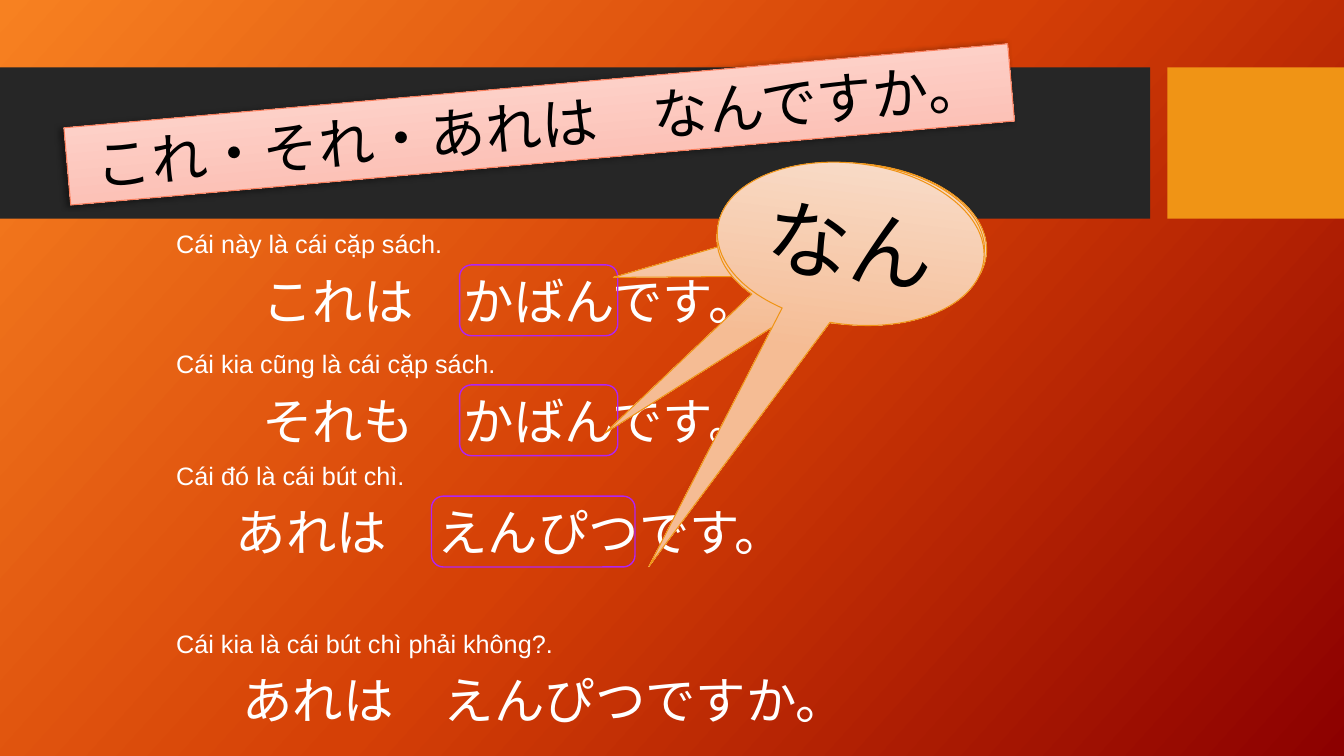
import pptx
import pptx.util
import pptx.dml.color
import pptx.enum.shapes
import pptx.enum.text
import pptx.oxml.ns
import pptx.oxml.xmlchemy

Pt = pptx.util.Pt
SHAPE = pptx.enum.shapes.MSO_SHAPE
ALIGN = pptx.enum.text.PP_ALIGN
ANCHOR = pptx.enum.text.MSO_ANCHOR
qn = pptx.oxml.ns.qn

BANDS = [((0, 48.2, 821.5, 108), "262626"), ((833.8, 48.2, 126.2, 108), "F09415")]
EXAMPLES = [
    ("Cái này là cái cặp sách.", "これは　かばんです。", 159.8, 246.2, 527.8, (328.3, 113)),
    ("Cái kia cũng là cái cặp sách.", "それも　かばんです。", 245.5, 246.2, 527.8, (328.3, 113)),
    ("Cái đó là cái bút chì.", "あれは　えんぴつです。", 325, 246.2, 527.8, (308.2, 145.4)),
    ("Cái kia là cái bút chì phải không?.", "あれは　えんぴつですか。", 445, 345.6, 576, None),
]
BUBBLES = [
    (513.4, 3.8, (-0.883, 0.306), ""),
    (511.9, 3.8, (-0.868, 1.272), ""),
    (511.9, 7, (-0.601, 2.14), "なん"),
]
TITLE = "これ・それ・あれは　なんですか。"
BACKDROP = [(0, "F78121"), (50, "D54006"), (100, "8C0000")]
PEACH = [(0, "F9DFCE"), (100, "F5BC94")]
PINK = [(0, "FDE1DC"), (100, "FCB0A2")]
HINT_LEFT, SENTENCE_LEFT = 118.8, 100.8
SENTENCE_DROP, SENTENCE_HEIGHT = 29.4, 50.6


def color(value):
    return pptx.dml.color.RGBColor.from_string(value)


def add_child(parent, tag, **attributes):
    child = pptx.oxml.xmlchemy.OxmlElement(tag)
    for key, value in attributes.items():
        child.set(key, str(int(value)) if not isinstance(value, str) else value)
    parent.append(child)
    return child


def paint_gradient(fill, owner, stops, angle):
    fill.gradient()
    gradient = next(owner.iter(qn("a:gradFill")))
    for child in list(gradient):
        gradient.remove(child)
    stop_list = add_child(gradient, "a:gsLst")
    for position, value in stops:
        stop = add_child(stop_list, "a:gs", pos=position * 1000)
        add_child(stop, "a:srgbClr", val=value)
    add_child(gradient, "a:lin", ang=angle * 60000, scaled=0)


def write(shape, text, size, value, align=ALIGN.LEFT, font="Arial", anchor=ANCHOR.TOP):
    frame = shape.text_frame
    frame.text = text
    frame.word_wrap = True
    frame.vertical_anchor = anchor
    paragraph = frame.paragraphs[0]
    paragraph.alignment = align
    run_font = paragraph.runs[0].font
    run_font.size = Pt(size)
    run_font.name = font
    run_font.color.rgb = color(value)


def add_shape(kind, box, fill=None, line=None, width=0.75, rotation=0, adjust=()):
    shape = slide.shapes.add_shape(kind, *map(Pt, box))
    shape.shadow.inherit = False
    shape.rotation = rotation
    for index, value in enumerate(adjust):
        shape.adjustments[index] = value
    if fill is None:
        shape.fill.background()
    elif isinstance(fill, str):
        shape.fill.solid()
        shape.fill.fore_color.rgb = color(fill)
    else:
        paint_gradient(shape.fill, shape._element, fill, 90)
    if line:
        shape.line.color.rgb = color(line)
        shape.line.width = Pt(width)
    else:
        shape.line.fill.background()
    return shape


def add_text(box, text, size, align):
    label = slide.shapes.add_textbox(*map(Pt, box))
    write(label, text, size, "FFFFFF", align)


deck = pptx.Presentation()
deck.slide_width, deck.slide_height = Pt(960), Pt(540)
slide = deck.slides.add_slide(deck.slide_layouts[6])
paint_gradient(slide.background.fill, slide._element, BACKDROP, 42)

for box, band_color in BANDS:
    add_shape(SHAPE.RECTANGLE, box, band_color)

for hint, sentence, top, hint_width, sentence_width, marker in EXAMPLES:
    sentence_top = top + SENTENCE_DROP
    add_text((HINT_LEFT, top, hint_width, 29), hint, 18, ALIGN.LEFT)
    add_text((SENTENCE_LEFT, sentence_top, sentence_width, SENTENCE_HEIGHT), sentence, 36, ALIGN.CENTER)
    if marker:
        left, width = marker
        add_shape(SHAPE.ROUNDED_RECTANGLE, (left, sentence_top, width, SENTENCE_HEIGHT),
                  line="B123F4", width=1, adjust=(0.167,))

for left, rotation, tip, word in BUBBLES:
    bubble = add_shape(SHAPE.OVAL_CALLOUT, (left, 116.6, 191.5, 115.2), PEACH, "F09415",
                       rotation=rotation, adjust=tip)
    if word:
        write(bubble, word, 60, "000000", ALIGN.CENTER, "Karla", ANCHOR.MIDDLE)

title = add_shape(SHAPE.RECTANGLE, (46.8, 61.2, 676.8, 55.4), PINK, "FA7E5C", rotation=354.9)
write(title, TITLE, 40, "000000", ALIGN.CENTER)
effects = title._element.spPr.find(qn("a:effectLst"))
shadow = add_child(effects, "a:outerShdw", blurRad=Pt(4), dist=Pt(3), dir=180 * 60000, rotWithShape=0)
add_child(add_child(shadow, "a:srgbClr", val="000000"), "a:alpha", val=40000)

deck.save("out.pptx")
